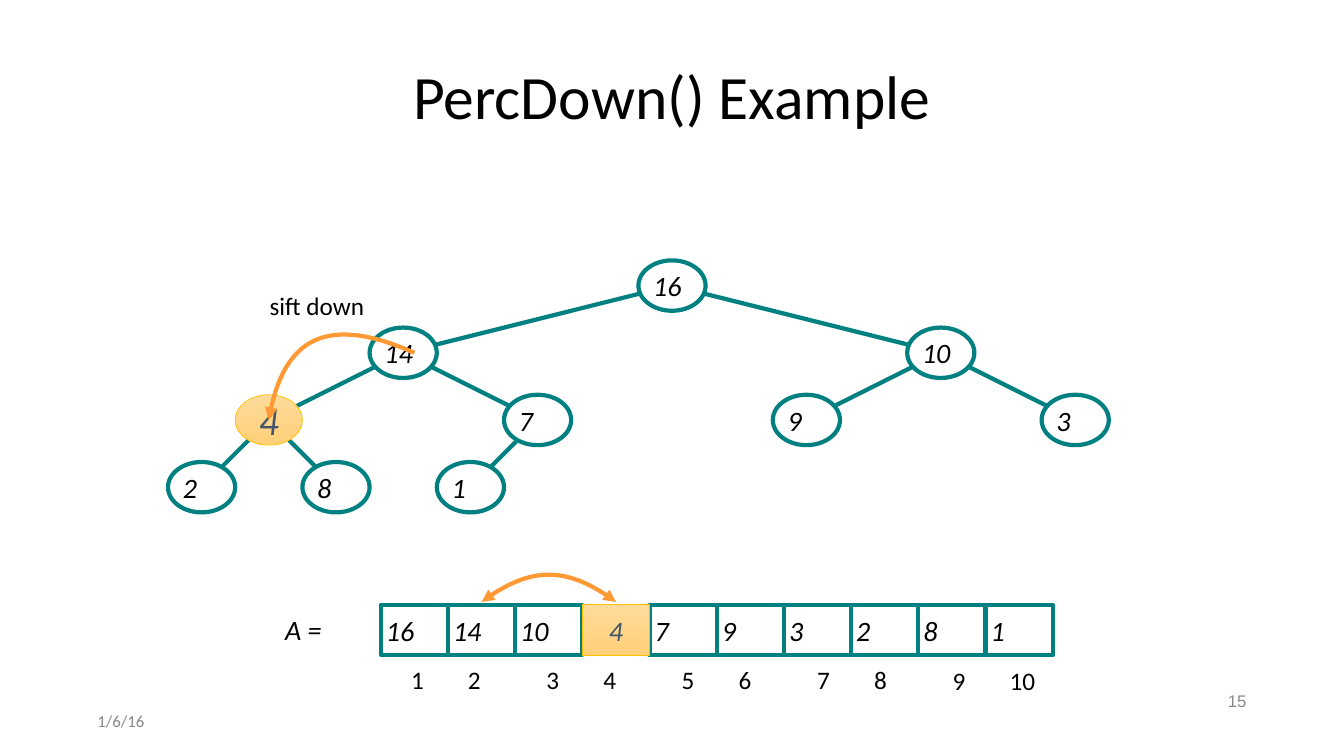
"""Build the PercDown() heap example slide: tree, array and swap arrows."""
from dataclasses import dataclass
from math import hypot

from lxml import etree
from pptx import Presentation
from pptx.dml import color
from pptx.enum import shapes, text
from pptx.oxml import ns
from pptx.util import Pt


@dataclass(frozen=True)
class Theme:
    font: str = "Calibri"
    number_font: str = "Arial"
    ink: str = "000000"
    muted: str = "888888"
    teal: str = "008080"
    paper: str = "FFFFFF"
    orange: str = "FF9933"
    gold: str = "FFC000"
    slate: str = "44546A"
    glow: tuple = ("FFDB9B", "FFD078")
    title: int = 44
    sifted: int = 28
    value: int = 20
    label: int = 18
    footer: int = 12
    stroke: float = 3
    thin: float = 0.5


theme = Theme()
rgb = color.RGBColor.from_string
LEFT, CENTER, RIGHT = text.PP_ALIGN.LEFT, text.PP_ALIGN.CENTER, text.PP_ALIGN.RIGHT

deck = Presentation()
deck.slide_width, deck.slide_height = Pt(960), Pt(540)
canvas = deck.slides.add_slide(deck.slide_layouts[6]).shapes


def write(holder, words, size, ink=theme.ink, align=LEFT, italic=False,
          font=theme.font, anchor=text.MSO_ANCHOR.MIDDLE, pad=0):
    frame = holder.text_frame
    frame.text = words
    frame.word_wrap = True
    frame.vertical_anchor = anchor
    frame.margin_left = frame.margin_right = Pt(3.6)
    frame.margin_top = frame.margin_bottom = Pt(pad)
    line = frame.paragraphs[0]
    line.alignment = align
    style = line.runs[0].font
    style.name, style.size, style.italic = font, Pt(size), italic
    style.color.rgb = rgb(ink)


def add_holder(kind, left, top, value, sifted=False, size=theme.value):
    holder = canvas.add_shape(kind, Pt(left), Pt(top), Pt(48), Pt(36))
    holder.shadow.inherit = False
    if sifted:
        holder.fill.gradient()
        holder.fill.gradient_angle = 270
        for stop, shade in zip(holder.fill.gradient_stops, theme.glow):
            stop.color.rgb = rgb(shade)
    else:
        holder.fill.solid()
        holder.fill.fore_color.rgb = rgb(theme.paper)
    holder.line.color.rgb = rgb(theme.gold if sifted else theme.teal)
    holder.line.width = Pt(theme.thin if sifted else theme.stroke)
    write(holder, str(value), size, theme.slate if sifted else theme.ink,
          CENTER if sifted else LEFT, italic=True)


heap = [16, 14, 10, 4, 7, 9, 3, 2, 8, 1]
sifted_place = 4

captions = [
    ("1/6/16", 66, 504, 216, 21, dict(size=theme.footer, ink=theme.muted)),
    ("15", 678, 490, 216, 21, dict(size=theme.footer, ink=theme.muted, align=RIGHT,
                                   font=theme.number_font)),
    ("PercDown() Example", 66, 29, 828, 77, dict(size=theme.title, align=CENTER)),
    ("A =", 200, 434, 46, 31, dict(size=theme.value, italic=True)),
    ("sift down", 189, 204, 80, 29, dict(size=theme.label, pad=3.6,
                                         anchor=text.MSO_ANCHOR.TOP)),
]
for words, left, top, width, height, look in captions:
    write(canvas.add_textbox(Pt(left), Pt(top), Pt(width), Pt(height)), words, **look)

centers = {}
for place in range(1, len(heap) + 1):
    level = place.bit_length() - 1
    row_size = 2 ** level
    slot = place - row_size
    centers[place] = (480 + (slot - (row_size - 1) / 2) * 768 / row_size, 204 + 48 * level)

for child in range(2, len(heap) + 1):
    (x1, y1), (x2, y2) = centers[child // 2], centers[child]
    dx, dy = x2 - x1, y2 - y1
    reach = 1 / hypot(dx / 24, dy / 18)
    branch = canvas.add_connector(
        shapes.MSO_CONNECTOR.STRAIGHT,
        Pt(x1 + dx * reach), Pt(y1 + dy * reach), Pt(x2 - dx * reach), Pt(y2 - dy * reach))
    branch.line.color.rgb = rgb(theme.teal)
    branch.line.width = Pt(theme.stroke)
    etree.SubElement(branch._element.spPr, ns.qn("a:effectLst"))

sifted_last = sorted(centers, key=lambda place: place == sifted_place)
for place in sifted_last:
    x, y = centers[place]
    sifted = place == sifted_place
    add_holder(shapes.MSO_SHAPE.OVAL, x - 24, y - 18, heap[place - 1], sifted,
               theme.sifted if sifted else theme.value)
for place in sifted_last:
    add_holder(shapes.MSO_SHAPE.RECTANGLE, 224 + 48 * place, 432, heap[place - 1],
               place == sifted_place)

for index in range(len(heap)):
    pair, second = divmod(index, 2)
    place_label = canvas.add_textbox(
        Pt(290 + 96.7 * pair + 40.7 * second), Pt(472 if pair == 4 else 471),
        Pt(27 if index == 9 else 17), Pt(29))
    write(place_label, str(index + 1), theme.label, anchor=text.MSO_ANCHOR.TOP, pad=3.6)

swaps = [
    ((296, 252), [(236, 225.4), (201.6, 241.2), (192, 300)], 240, ["tailEnd"]),
    ((344, 430), [(376, 405.5), (408, 405.5), (440, 430)], 411.6, ["headEnd", "tailEnd"]),
]
for start, bend, crest, tips in swaps:
    outline = canvas.build_freeform(Pt(start[0]), Pt(start[1]))
    outline.add_line_segments(
        [(Pt(start[0]), Pt(crest)), (Pt(bend[-1][0]), Pt(bend[-1][1]))], close=False)
    arc = outline.convert_to_shape()
    arc.shadow.inherit = False
    arc.fill.background()
    arc.line.color.rgb = rgb(theme.orange)
    arc.line.width = Pt(theme.stroke)
    route = arc._element.spPr.find(".//" + ns.qn("a:path"))
    for segment in route.findall(ns.qn("a:lnTo")):
        route.remove(segment)
    curve = etree.SubElement(route, ns.qn("a:cubicBezTo"))
    for x, y in bend:
        etree.SubElement(curve, ns.qn("a:pt"), x=str(Pt(x) - arc.left), y=str(Pt(y) - arc.top))
    stroke = arc.line._get_or_add_ln()
    for tip in tips:
        etree.SubElement(stroke, ns.qn("a:" + tip), type="triangle")

deck.save("out.pptx")
